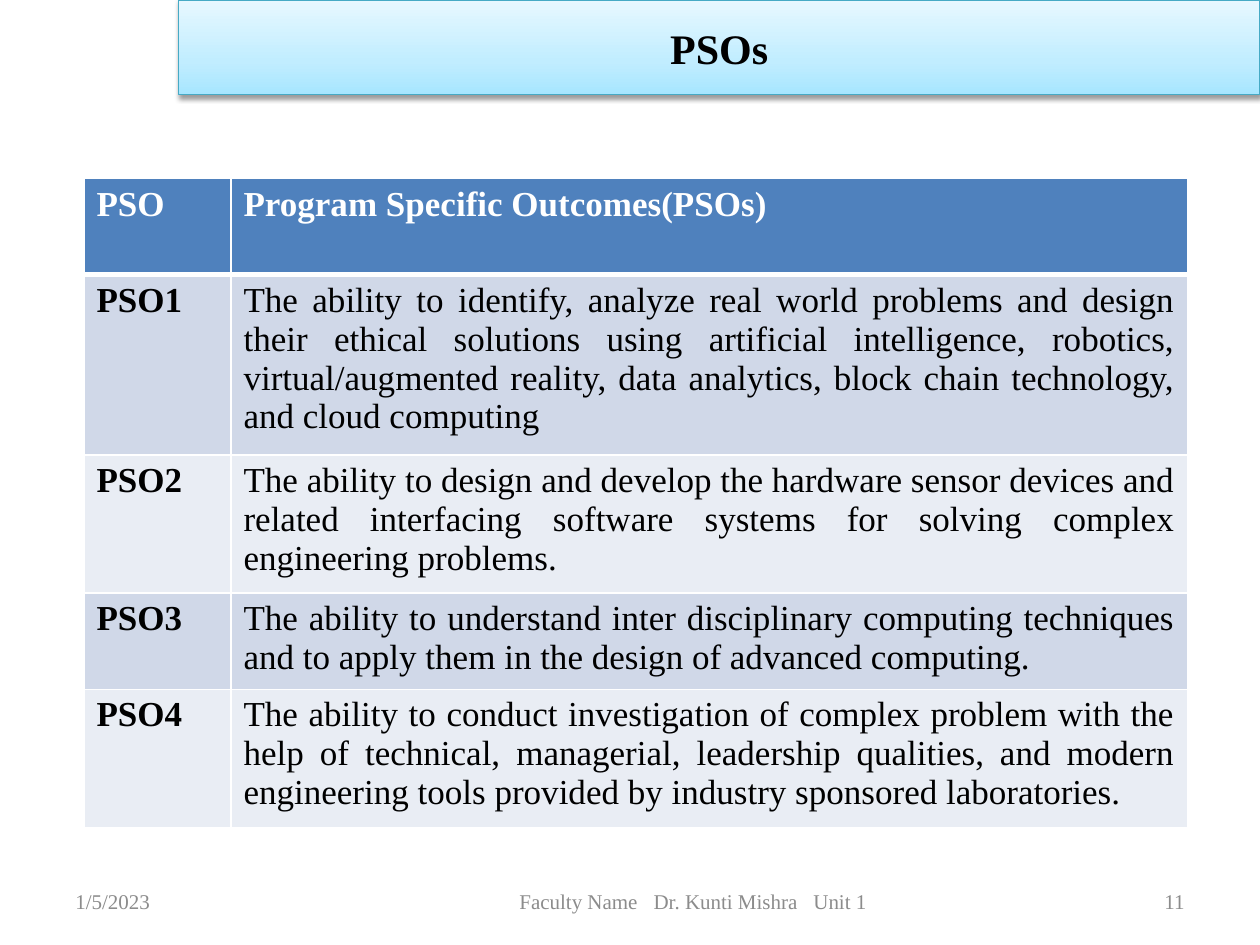
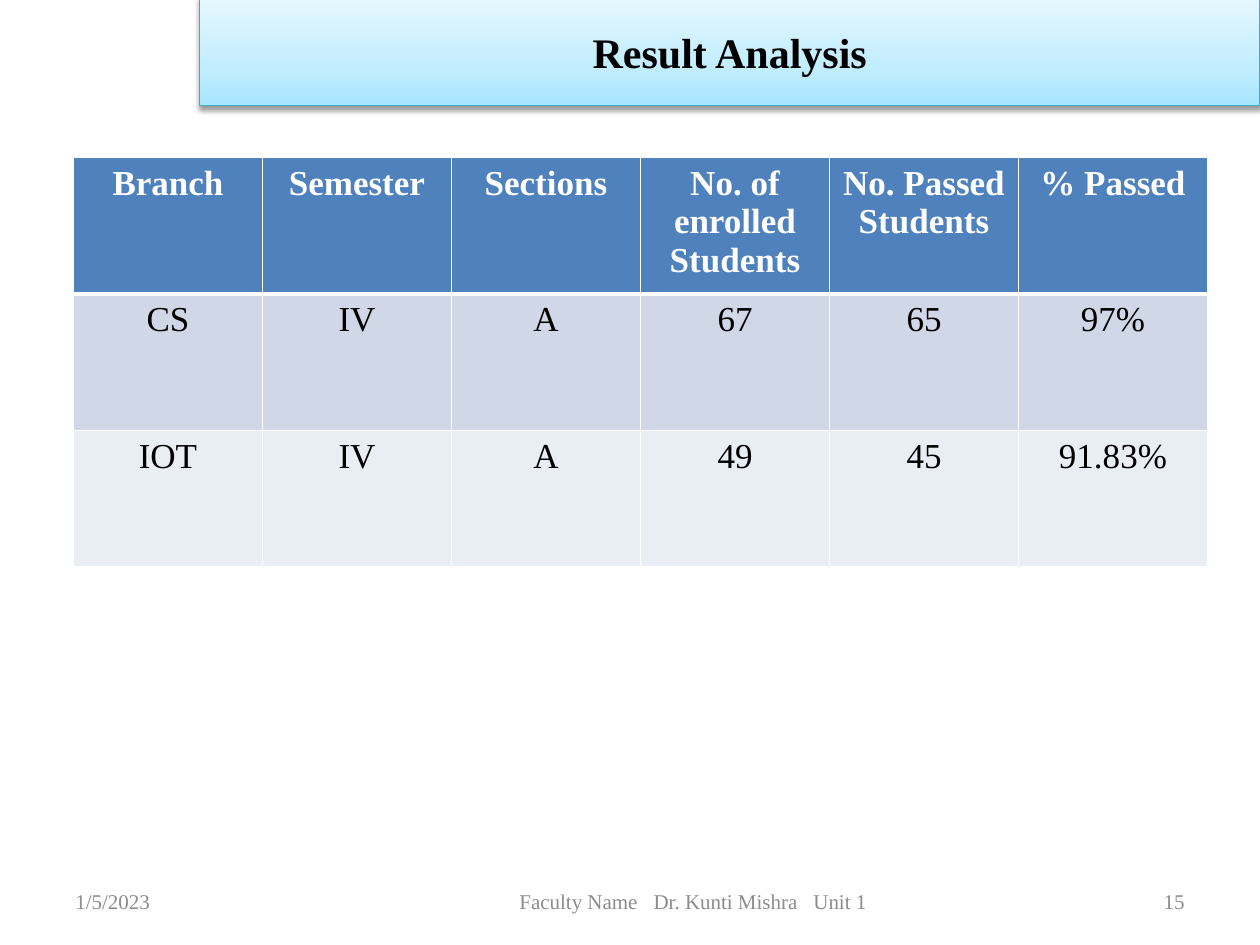
"""Build the programme outcomes and result analysis slides."""
import pptx
import pptx.dml.color
import pptx.enum.text
import pptx.oxml
import pptx.oxml.ns
import pptx.util

Pt = pptx.util.Pt
ALIGN = pptx.enum.text.PP_ALIGN
MIDDLE = pptx.enum.text.MSO_ANCHOR.MIDDLE
NO_FIT = pptx.enum.text.MSO_AUTO_SIZE.NONE
NAMESPACE = pptx.oxml.ns.nsdecls("a")
TITLE_ONLY = 5


def color(value):
    return pptx.dml.color.RGBColor.from_string(value)


def assign(target, values):
    for name, value in values.items():
        setattr(target, name, value)


class SlideWriter:
    font = "Times New Roman"
    title_format = {"size": Pt(24), "bold": True}
    footer_format = {"size": Pt(12), "bold": False}
    header_format = {"size": Pt(20), "bold": True}
    body_format = {"size": Pt(20), "bold": False}
    frame_format = {"word_wrap": True, "auto_size": NO_FIT, "vertical_anchor": MIDDLE}
    band_stops = [(0, "A7E6FF"), (0.35, "C1EDFF"), (1, "E7F8FF")]
    band_line = "46AAC5"
    header_fill = "4F81BD"
    row_fills = ["D0D8E8", "E9EDF4"]
    black, white, gray = "000000", "FFFFFF", "8C8C8C"
    footer_parts = ["Faculty Name", "Dr. Kunti Mishra", "Unit 1"]
    footer_gap = 600

    def __init__(self, deck):
        self.deck = deck
        self.slide = None

    def add_slide(self, title, band, number):
        self.slide = self.deck.slides.add_slide(self.deck.slide_layouts[TITLE_ONLY])
        self.title_band(title, band)
        self.footer("1/5/2023", 36, 168, ALIGN.LEFT)
        self.unit_footer()
        self.footer(number, 516, 168, ALIGN.RIGHT)

    def span(self, para, text, values, text_color):
        span = para.add_run()
        span.text = text
        assign(span.font, {"name": self.font, **values})
        span.font.color.rgb = color(text_color)
        return span

    def title_band(self, text, band):
        box = self.slide.shapes.title
        assign(box, dict(zip(("left", "top", "width", "height"), map(Pt, band))))
        box.fill.gradient()
        box.fill.gradient_angle = 90
        first_stop = box.fill.gradient_stops[0]
        stop_list = box._element.spPr.find(".//" + pptx.oxml.ns.qn("a:gsLst"))
        stop_list.clear()
        for position, shade in self.band_stops:
            stop_list.append(pptx.oxml.parse_xml(
                f'<a:gs {NAMESPACE} pos="{round(position * 100000)}">'
                f'<a:srgbClr val="{shade}"/></a:gs>'))
        box.line.color.rgb = color(self.band_line)
        box.line.width = Pt(0.75)
        box.shadow.inherit = False
        effects = box._element.spPr.find(pptx.oxml.ns.qn("a:effectLst"))
        effects.append(pptx.oxml.parse_xml(
            f'<a:outerShdw {NAMESPACE} blurRad="{Pt(3.1)}" dist="{Pt(1.6)}" '
            f'dir="5400000" rotWithShape="0"><a:srgbClr val="{self.black}">'
            '<a:alpha val="38000"/></a:srgbClr></a:outerShdw>'))
        assign(box.text_frame, self.frame_format)
        para = box.text_frame.paragraphs[0]
        para.alignment = ALIGN.CENTER
        self.span(para, text, self.title_format, self.black)

    def footer_para(self, left, width, alignment):
        box = self.slide.shapes.add_textbox(Pt(left), Pt(500.5), Pt(width), Pt(28.5))
        assign(box.text_frame, self.frame_format)
        para = box.text_frame.paragraphs[0]
        para.alignment = alignment
        return para

    def footer(self, text, left, width, alignment):
        para = self.footer_para(left, width, alignment)
        self.span(para, text, self.footer_format, self.gray)

    def unit_footer(self):
        para = self.footer_para(198, 396, ALIGN.CENTER)
        for index, part in enumerate(self.footer_parts):
            if index:
                gap = self.span(para, " ", self.footer_format, self.gray)
                gap._r.get_or_add_rPr().set("spc", str(self.footer_gap))
            self.span(para, part, self.footer_format, self.gray)

    def border(self, cell, side, width):
        cell._tc.get_or_add_tcPr().append(pptx.oxml.parse_xml(
            f'<a:ln{side} {NAMESPACE} w="{Pt(width)}"><a:solidFill>'
            f'<a:srgbClr val="{self.white}"/></a:solidFill></a:ln{side}>'))

    def table(self, left, top, widths, heights, rows, alignments, bold_first=False):
        grid = self.slide.shapes.add_table(
            len(rows), len(widths), Pt(left), Pt(top), Pt(sum(widths)), Pt(sum(heights))).table
        for column, width in zip(grid.columns, widths):
            column.width = Pt(width)
        for row, height in zip(grid.rows, heights):
            row.height = Pt(height)
        for row_index, texts in enumerate(rows):
            header = row_index == 0
            fill = self.header_fill if header else self.row_fills[(row_index - 1) % 2]
            for column_index, text in enumerate(texts):
                cell = grid.cell(row_index, column_index)
                thick = {0: "B", 1: "T"}.get(row_index)
                for side in "LRTB":
                    self.border(cell, side, 3 if side == thick else 1)
                cell.fill.solid()
                cell.fill.fore_color.rgb = color(fill)
                para = cell.text_frame.paragraphs[0]
                para.alignment = alignments[header][column_index]
                bold = header or (bold_first and column_index == 0)
                self.span(para, text, self.header_format if bold else self.body_format,
                          self.white if header else self.black)


def main():
    deck = pptx.Presentation()
    assign(deck, {"slide_width": Pt(720), "slide_height": Pt(540)})
    writer = SlideWriter(deck)

    writer.add_slide("PSOs", (102, 0, 618, 54), "11")
    outcomes = [
        "The ability to identify, analyze real world problems and design their ethical "
        "solutions using artificial intelligence, robotics, virtual/augmented reality, "
        "data analytics, block chain technology, and cloud computing",
        "The ability to design and develop the hardware sensor devices and related "
        "interfacing software systems for solving complex engineering problems.",
        "The ability to understand inter disciplinary computing techniques and to apply "
        "them in the design of advanced computing.",
        "The ability to conduct investigation of complex problem with the help of "
        "technical, managerial, leadership qualities, and modern engineering tools "
        "provided by industry sponsored laboratories.",
    ]
    rows = [("PSO", "Program Specific Outcomes(PSOs)")]
    rows += [(f"PSO{number}", outcome) for number, outcome in enumerate(outcomes, 1)]
    writer.table(48, 102, [84, 546.5], [55, 103, 79, 55, 79], rows,
                 {True: [ALIGN.LEFT] * 2, False: [ALIGN.LEFT, ALIGN.JUSTIFY]},
                 bold_first=True)

    writer.add_slide("Result Analysis", (114, -1.5, 606, 62), "15")
    results = [
        ("Branch", "Semester", "Sections", "No. of enrolled Students",
         "No. Passed Students", "% Passed"),
        ("CS", "IV", "A", "67", "65", "97%"),
        ("IOT", "IV", "A", "49", "45", "91.83%"),
    ]
    centered = [ALIGN.CENTER] * 6
    writer.table(42, 90, [108] * 6, [78] * 3, results, {True: centered, False: centered})

    deck.save("out.pptx")


if __name__ == "__main__":
    main()
